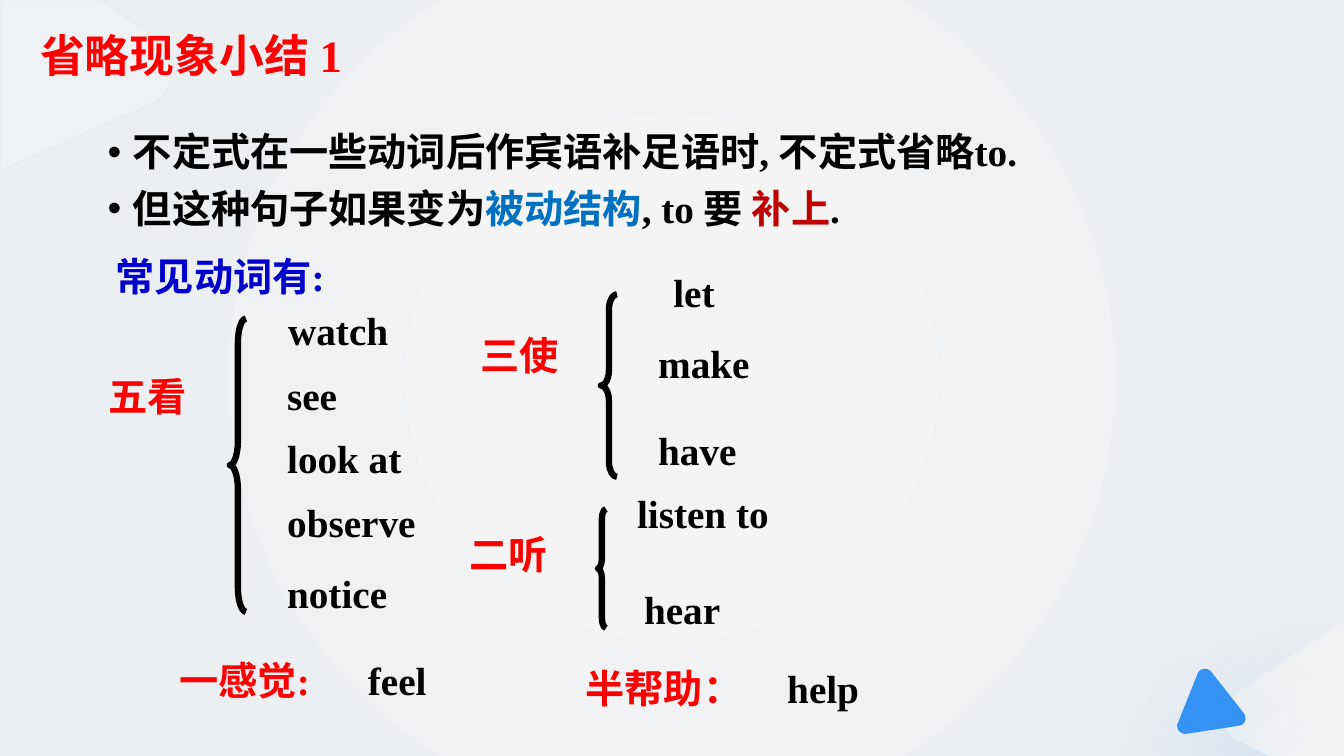
from lxml import etree
from pptx import Presentation, util as u
from pptx.dml.color import RGBColor
from pptx.enum import shapes, text
from pptx.oxml import parse_xml
from pptx.oxml.ns import nsdecls, qn

PX = 9144  # 100 px to the inch
FONT = "Times New Roman"
BLACK = RGBColor(0x00, 0x00, 0x00)
WHITE = RGBColor(0xFF, 0xFF, 0xFF)
RED = RGBColor(0xFF, 0x00, 0x00)
DARK_RED = RGBColor(0xC0, 0x00, 0x00)
BLUE = RGBColor(0x00, 0x70, 0xC0)
DEEP_BLUE = RGBColor(0x00, 0x00, 0xCC)
ACCENT = RGBColor(0x33, 0x92, 0xF4)
ACCENT_SHADOW = RGBColor(0x0C, 0x77, 0xE2)
PALE = RGBColor(0xF4, 0xF4, 0xF5)
MIST = RGBColor(0xEC, 0xEF, 0xF2)
EDGE = RGBColor(0xD0, 0xCE, 0xCE)

presentation = Presentation()
presentation.slide_width = 1333 * PX
presentation.slide_height = 750 * PX
slide = presentation.slides.add_slide(presentation.slide_layouts[6])


def add_outline(start, segments, shadow=None):
    """Segments hold one point (line) or three (Bezier curve)."""
    points = [start]
    for segment in segments:
        if len(segment) == 1:
            points.append(segment[0])
            continue
        controls = [points[-1], *segment]
        for step in range(1, 13):
            t = step / 12
            weights = ((1 - t) ** 3, 3 * t * (1 - t) ** 2, 3 * t * t * (1 - t), t ** 3)
            points.append(tuple(sum(w * c[axis] for w, c in zip(weights, controls))
                                for axis in (0, 1)))
    builder = slide.shapes.build_freeform(
        round(start[0] * PX), round(start[1] * PX), scale=1.0)
    builder.add_line_segments([(round(x * PX), round(y * PX)) for x, y in points[1:]])
    shape = builder.convert_to_shape()
    shape.shadow.inherit = False
    shape.line.fill.background()
    if shadow:
        effects = shape._element.spPr.find(qn("a:effectLst"))
        effects.append(parse_xml(
            f'<a:outerShdw {nsdecls("a")} blurRad="{u.Pt(84)}" dist="{u.Pt(34)}" '
            f'dir="5400000" algn="t" rotWithShape="0"><a:srgbClr val="{shadow}">'
            '<a:alpha val="20000"/></a:srgbClr></a:outerShdw>'))
    return shape


def add_text(box, paragraphs, size=28, bullets=False):
    """Each paragraph is a list of (wording, colour) runs."""
    frame = slide.shapes.add_textbox(*(value * PX for value in box)).text_frame
    frame.word_wrap = True
    frame.auto_size = (text.MSO_AUTO_SIZE.NONE if bullets
                       else text.MSO_AUTO_SIZE.SHAPE_TO_FIT_TEXT)
    for index, runs in enumerate(paragraphs):
        paragraph = frame.add_paragraph() if index else frame.paragraphs[0]
        if bullets:
            properties = paragraph._p.get_or_add_pPr()
            properties.set("marL", str(25 * PX))
            properties.set("indent", str(-25 * PX))
            etree.SubElement(properties, qn("a:buFont"), typeface="Arial")
            etree.SubElement(properties, qn("a:buChar"), char="•")
            paragraph.line_spacing = 0.9
            if index:
                paragraph.space_before = u.Pt(10)
        for wording, colour in runs:
            run = paragraph.add_run()
            run.text = wording
            run.font.color.rgb = colour
            for name, value in {"name": FONT, "size": u.Pt(size), "bold": True}.items():
                setattr(run.font, name, value)


# Backdrop with a round gradient
backdrop = slide.shapes.add_shape(
    shapes.MSO_SHAPE.RECTANGLE, 0, 0, 1333 * PX, 750 * PX)
backdrop.shadow.inherit = False
backdrop.line.fill.background()

# Corner pieces and the blue triangle
top_corner = add_outline((0, 0), [
    [(102, 0)], [(118, 12)],
    [(130, 21), (142, 30), (156, 39)],
    [(179, 57), (175, 92), (148, 104)],
    [(19, 161)], [(0, 169)]])
top_corner.fill.solid()
top_corner.fill.fore_color.rgb = WHITE
top_corner.line.color.rgb = EDGE
top_corner.line.width = u.Pt(0.75)
for colour in top_corner._element.spPr.iter(qn("a:srgbClr")):
    etree.SubElement(colour, qn("a:alpha"), val="20000")

bottom_corner = add_outline((1333, 616), [
    [(1333, 750)], [(1258, 750)], [(1229, 735)],
    [(1210, 726), (1208, 700), (1226, 688)],
    [(1312, 630)]], ACCENT)

triangle = add_outline((1188, 668), [
    [(1168, 718)],
    [(1166, 723), (1171, 729), (1177, 728)],
    [(1229, 720)],
    [(1235, 719), (1237, 713), (1234, 708)],
    [(1201, 666)],
    [(1197, 662), (1190, 663), (1188, 668)]], ACCENT_SHADOW)
triangle.fill.solid()
triangle.fill.fore_color.rgb = ACCENT

for shape, stops in ((backdrop, ((0.23, PALE), (0.69, MIST))),
                     (bottom_corner, ((0.12, MIST), (1, PALE)))):
    shape.fill.gradient()
    shape.fill.gradient_angle = 315
    for stop, (position, colour) in zip(shape.fill.gradient_stops, stops):
        stop.position = position
        stop.color.rgb = colour
linear = backdrop._element.spPr.find(".//" + qn("a:lin"))
linear.getparent().replace(linear, parse_xml(
    f'<a:path {nsdecls("a")} path="circle">'
    '<a:fillToRect l="50000" t="50000" r="50000" b="50000"/></a:path>'))

# Title and rules
add_text((30, 23, 375, 64), [[("省略现象小结 1", RED)]], size=32)
add_text((97, 127, 1004, 142), [
    [("不定式在一些动词后作宾语补足语时, 不定式省略to.", BLACK)],
    [("但这种句子如果变为", BLACK), ("被动结构", BLUE), (", to 要 ", BLACK),
     ("补上", DARK_RED), (".", BLACK)],
], bullets=True)

# Group names and their verbs: wording, left, top, width
labels = {
    DEEP_BLUE: [("常见动词有:", 105, 245, 449)],
    RED: [("五看", 98, 364, 173), ("三使", 467, 324, 132), ("二听", 456, 521, 109),
          ("一感觉:", 168, 646, 161), ("半帮助：", 571, 654, 192)],
    BLACK: [("watch", 276, 299, 140), ("see", 275, 363, 80), ("look at", 275, 426, 154),
            ("observe", 275, 489, 192), ("notice", 275, 560, 130),
            ("let", 658, 261, 71), ("make", 643, 332, 122), ("have", 643, 418, 109),
            ("listen to", 622, 481, 172), ("hear", 629, 576, 106),
            ("feel", 355, 646, 89), ("help", 771, 654, 233)],
}
for colour, entries in labels.items():
    for wording, left, top, width in entries:
        add_text((left, top, width, 57), [[(wording, colour)]])

# Braces: left, top, width, height, curl
for *box, curl in ((228, 316, 16, 291, 1.53), (596, 292, 16, 181, 0.95),
                   (593, 505, 8, 118, 1.23)):
    brace = slide.shapes.add_shape(
        shapes.MSO_SHAPE.LEFT_BRACE, *(value * PX for value in box))
    brace.shadow.inherit = False
    brace.fill.background()
    brace.line.color.rgb = BLACK
    brace.line.width = u.Pt(4.5)
    brace.adjustments[0] = curl

presentation.save("out.pptx")
